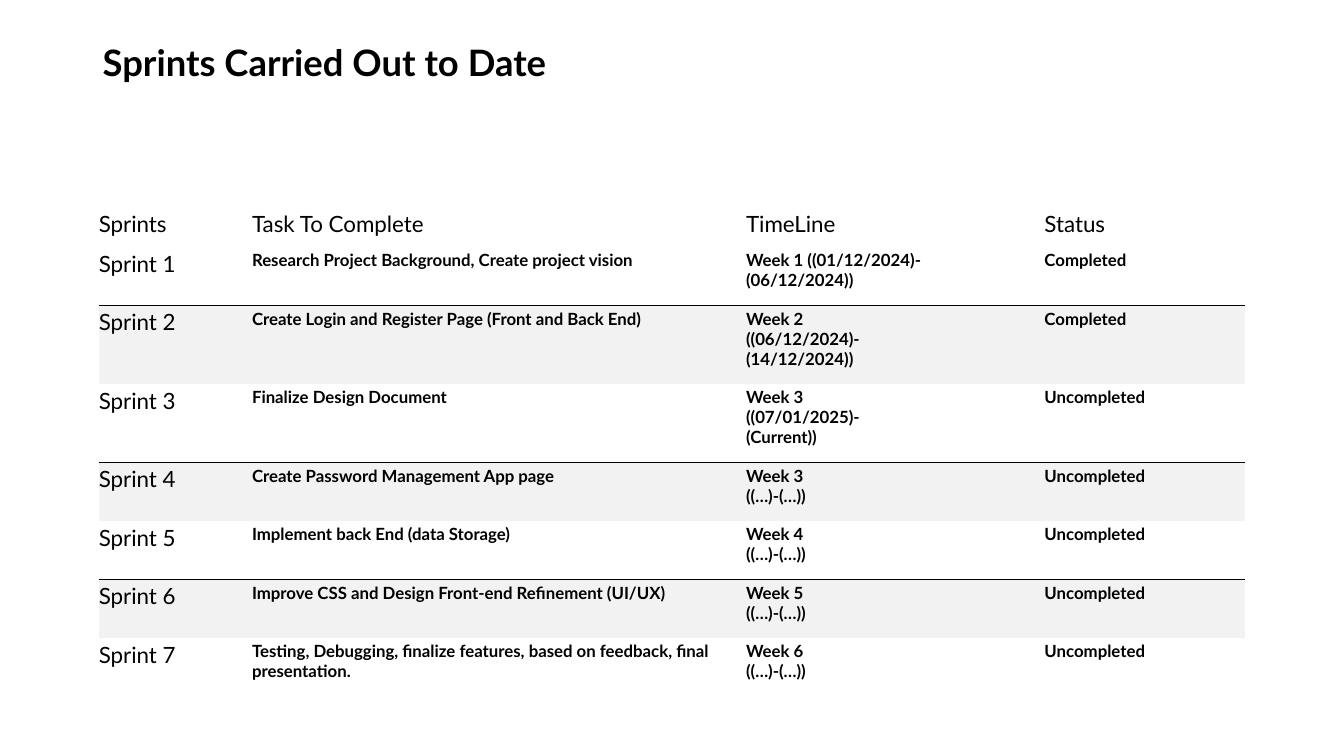
from lxml.etree import SubElement
from pptx import Presentation
from pptx.dml.color import RGBColor
from pptx.enum.text import MSO_ANCHOR
from pptx.oxml.ns import qn
from pptx.util import Emu, Pt

FONT = "Lato"
BLACK = "000000"
BAND = "F2F2F2"
HEADER = ["Sprints", "Task To Complete", "TimeLine", "Status"]
SPRINTS = [
    ("Research Project Background, Create project vision",
     "Week 1 ((01/12/2024)-\n(06/12/2024))", "Completed"),
    ("Create Login and Register Page (Front and Back End)",
     "Week 2\n((06/12/2024)-\n(14/12/2024))", "Completed"),
    ("Finalize Design Document",
     "Week 3\n((07/01/2025)-\n(Current))", "Uncompleted"),
    ("Create Password Management App page", "Week 3\n((…)-(…))", "Uncompleted"),
    ("Implement back End (data Storage)", "Week 4\n((…)-(…))", "Uncompleted"),
    ("Improve CSS and Design Front-end Refinement (UI/UX)",
     "Week 5\n((…)-(…))", "Uncompleted"),
    ("Testing, Debugging, finalize features, based on feedback, final presentation.",
     "Week 6\n((…)-(…))", "Uncompleted"),
]
COLUMN_WIDTHS = [152, 490, 296, 199]
ROW_HEIGHTS = [43, 58, 78, 78, 58, 58, 58, 58]


def px(length):
    """100 px to the inch."""
    return Emu(length * 9144)


def color(value):
    return RGBColor.from_string(value)


def write(frame, text, size=12, bold=False, ink=BLACK):
    """Put each line of text in its own paragraph."""
    frame.word_wrap = True
    for index, line in enumerate(text.split("\n")):
        para = frame.paragraphs[0] if index == 0 else frame.add_paragraph()
        span = para.add_run()
        span.text = line
        span.font.name = FONT
        span.font.size = Pt(size)
        span.font.bold = bold
        span.font.color.rgb = color(ink)


def set_borders(cell, **ruled):
    """Draw a thin line on the ruled sides and none on the others."""
    properties = cell._tc.get_or_add_tcPr()
    for index, side in enumerate(["left", "right", "top", "bottom"]):
        line = SubElement(properties, qn("a:ln" + side[0].upper()))
        properties.insert(index, line)
        if ruled.get(side):
            line.set("w", str(Pt(0.75)))
            fill = SubElement(line, qn("a:solidFill"))
            SubElement(fill, qn("a:srgbClr")).set("val", BLACK)
        else:
            SubElement(line, qn("a:noFill"))


def add_title(page, left, top, width, height):
    box = page.shapes.add_textbox(px(left), px(top), px(width), px(height))
    box.text_frame.margin_top = px(20)
    write(box.text_frame, "Sprints Carried Out to Date", size=26, bold=True)


def add_sprint_table(page, left, top):
    rows = [HEADER] + [(f"Sprint {number}", *sprint)
                       for number, sprint in enumerate(SPRINTS, 1)]
    table = page.shapes.add_table(
        len(rows), len(HEADER), px(left), px(top),
        px(sum(COLUMN_WIDTHS)), px(sum(ROW_HEIGHTS))).table
    table.first_row = table.horz_banding = False
    for column, width in zip(table.columns, COLUMN_WIDTHS):
        column.width = px(width)

    for row_index, texts in enumerate(rows):
        table.rows[row_index].height = px(ROW_HEIGHTS[row_index])
        is_header = row_index == 0
        banded = row_index % 2 == 0 and not is_header
        above_band = row_index % 2 == 1 and row_index < len(rows) - 1
        for column_index, text in enumerate(texts):
            cell = table.cell(row_index, column_index)
            cell.margin_left, cell.margin_right = px(0), px(8)
            cell.margin_top, cell.margin_bottom = px(2 if is_header else 3), px(10)
            cell.vertical_anchor = MSO_ANCHOR.BOTTOM if is_header else MSO_ANCHOR.TOP
            large = is_header or column_index == 0
            write(cell.text_frame, text, size=16 if large else 12, bold=not large)
            if banded:
                cell.fill.solid()
                cell.fill.fore_color.rgb = color(BAND)
            else:
                cell.fill.background()
            set_borders(cell, top=banded, bottom=above_band)


def main():
    deck = Presentation()
    deck.slide_width, deck.slide_height = px(1333), px(750)
    page = deck.slides.add_slide(deck.slide_layouts[6])
    add_title(page, 92, 20, 1150, 165)
    add_sprint_table(page, 98, 202)
    deck.save("out.pptx")


if __name__ == "__main__":
    main()
